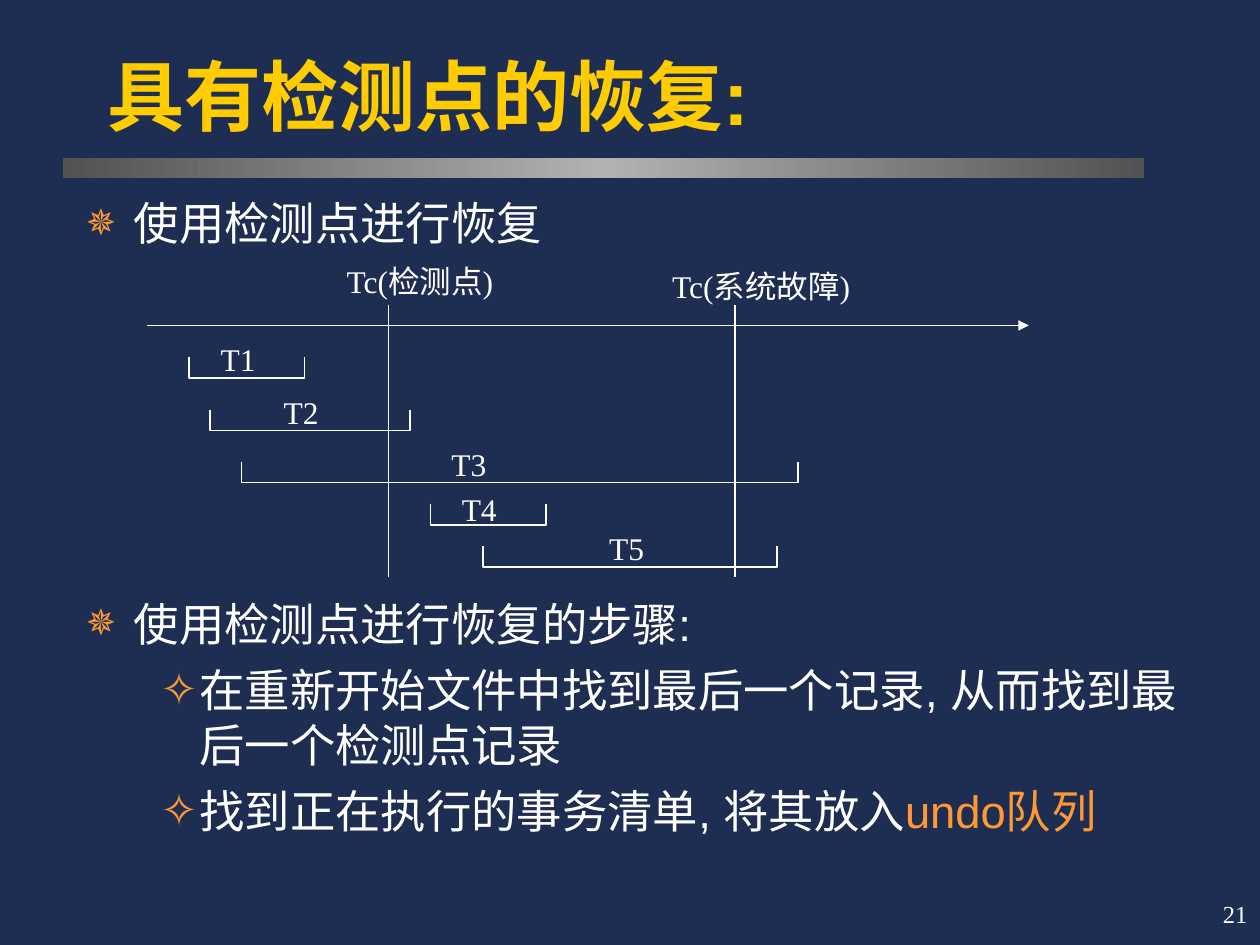
from copy import deepcopy
from dataclasses import dataclass

from pptx import Presentation
from pptx.dml.color import RGBColor
from pptx.enum.shapes import MSO_CONNECTOR, MSO_SHAPE
from pptx.enum.text import MSO_ANCHOR, MSO_AUTO_SIZE, PP_ALIGN
from pptx.oxml.ns import qn
from pptx.util import Cm, Pt

STRAIGHT, RECTANGLE = MSO_CONNECTOR.STRAIGHT, MSO_SHAPE.RECTANGLE
TOP, MIDDLE, BOTTOM = MSO_ANCHOR.TOP, MSO_ANCHOR.MIDDLE, MSO_ANCHOR.BOTTOM
LEFT, RIGHT = PP_ALIGN.LEFT, PP_ALIGN.RIGHT
NO_AUTOFIT = MSO_AUTO_SIZE.NONE


@dataclass(frozen=True)
class Theme:
    background: str = "1E2E53"
    text: str = "FFFFFF"
    title: str = "FFCC00"
    accent: str = "FF9933"
    bar_stops: tuple = ((0, "525252"), (0.5, "B2B2B2"), (1, "525252"))
    heading_font: str = "Arial"
    diagram_font: str = "Times New Roman"
    title_size: float = 44
    body_size: float = 25.9
    label_size: float = 18
    number_size: float = 14
    line_width: float = 1


THEME = Theme()

# Content
TITLE = "具有检测点的恢复:"
PAGE_NUMBER = "21"
# level, space before in points, runs of (text, colour); the wide space holds the diagram
POINTS = [
    (0, None, [("使用检测点进行恢复", THEME.text)]),
    (0, 197.7, [("使用检测点进行恢复的步骤:", THEME.text)]),
    (1, 7, [("在重新开始文件中找到最后一个记录, 从而找到最后一个检测点记录", THEME.text)]),
    (1, 7, [("找到正在执行的事务清单, 将其放入", THEME.text), ("undo队列", THEME.accent)]),
]
# bullet, size in percent, text indent, hanging indent (cm)
BULLETS = [("✵", 80, 0.97, 0.97), ("✧", 100, 2.29, 0.79)]

# Diagram, in cm
AXIS_START, AXIS_END, AXIS_Y = 2.96, 20.74, 6.56
EVENT_TOP, EVENT_BOTTOM = 6.14, 11.64
# label, line x, label left, label top, label width
EVENTS = [
    ("Tc(检测点)", 7.83, 6.99, 5.29, 3.39),
    ("Tc(系统故障)", 14.82, 13.55, 5.38, 4.23),
]
# label, start, end, top, label left, label top
TRANSACTIONS = [
    ("T1", 3.81, 6.14, 7.2, 4.45, 6.86),
    ("T2", 4.23, 8.26, 8.26, 5.72, 7.92),
    ("T3", 4.87, 16.09, 9.31, 9.1, 8.97),
    ("T4", 8.68, 11.01, 10.16, 9.31, 9.88),
    ("T5", 9.74, 15.66, 11.01, 12.28, 10.67),
]
BRACKET_DEPTH, LABEL_HEIGHT, TRANSACTION_LABEL_WIDTH = 0.42, 0.76, 1.06


def color(code):
    return RGBColor.from_string(code)


def add_run(paragraph, text, font, size, code, bold=False):
    run = paragraph.add_run()
    run.text = text
    run.font.name, run.font.size, run.font.bold = font, Pt(size), bold
    run.font.color.rgb = color(code)


def place(shape, left, top, width, height):
    shape.left, shape.top, shape.width, shape.height = map(Cm, (left, top, width, height))


def set_frame(frame, anchor, inset_x=0.25, inset_y=0.13):
    frame.word_wrap, frame.auto_size, frame.vertical_anchor = True, NO_AUTOFIT, anchor
    frame.margin_left = frame.margin_right = Cm(inset_x)
    frame.margin_top = frame.margin_bottom = Cm(inset_y)


def add_bullet(paragraph, char, percent, indent, hanging):
    props = paragraph._p.get_or_add_pPr()
    props.set("marL", str(Cm(indent)))
    props.set("indent", str(-Cm(hanging)))
    bullet_color = props.makeelement(qn("a:buClr"), {})
    bullet_color.append(props.makeelement(qn("a:srgbClr"), {"val": THEME.accent}))
    props.append(bullet_color)
    for tag, attributes in (
        ("a:buSzPct", {"val": str(percent * 1000)}),
        ("a:buFont", {"typeface": THEME.heading_font}),
        ("a:buChar", {"char": char}),
    ):
        props.append(props.makeelement(qn(tag), attributes))


def style_line(line):
    line.color.rgb = color(THEME.text)
    line.width = Pt(THEME.line_width)


def add_line(slide, x1, y1, x2, y2, arrow=False):
    connector = slide.shapes.add_connector(STRAIGHT, Cm(x1), Cm(y1), Cm(x2), Cm(y2))
    style_line(connector.line)
    props = connector._element.spPr
    if arrow:
        outline = props.find(qn("a:ln"))
        outline.append(outline.makeelement(qn("a:tailEnd"), {"type": "triangle"}))
    props.append(props.makeelement(qn("a:effectLst"), {}))


def add_label(slide, text, left, top, width):
    box = slide.shapes.add_textbox(Cm(left), Cm(top), Cm(width), Cm(LABEL_HEIGHT))
    set_frame(box.text_frame, TOP, 0, 0)
    add_run(box.text_frame.paragraphs[0], text, THEME.diagram_font, THEME.label_size, THEME.text)


def add_bracket(slide, start, end, top):
    bottom = top + BRACKET_DEPTH
    builder = slide.shapes.build_freeform(Cm(start), Cm(top))
    corners = [(start, bottom), (end, bottom), (end, top)]
    builder.add_line_segments([(Cm(x), Cm(y)) for x, y in corners], close=False)
    bracket = builder.convert_to_shape()
    bracket.shadow.inherit = False
    bracket.fill.background()
    style_line(bracket.line)


def add_bar(slide):
    bar = slide.shapes.add_shape(RECTANGLE, Cm(1.27), Cm(3.18), Cm(21.8), Cm(0.42))
    bar.shadow.inherit = False
    bar.line.fill.background()
    bar.fill.gradient()
    bar.fill.gradient_angle = 0
    stop_list = next(bar._element.iter(qn("a:gsLst")))
    stop_list.append(deepcopy(stop_list[0]))
    for stop, (position, code) in zip(bar.fill.gradient_stops, THEME.bar_stops):
        stop.position = position
        stop.color.rgb = color(code)


def main():
    deck = Presentation()
    deck.slide_width, deck.slide_height = Cm(25.4), Cm(19.05)
    slide = deck.slides.add_slide(deck.slide_layouts[1])
    slide.background.fill.solid()
    slide.background.fill.fore_color.rgb = color(THEME.background)

    # Title
    title = slide.shapes.title
    place(title, 1.91, 1.07, 21.59, 1.9)
    set_frame(title.text_frame, BOTTOM)
    heading = title.text_frame.paragraphs[0]
    heading.alignment = LEFT
    add_run(heading, TITLE, THEME.heading_font, THEME.title_size, THEME.title, bold=True)

    # Bulleted steps
    body = slide.placeholders[1]
    place(body, 1.48, 3.81, 22.86, 14.18)
    set_frame(body.text_frame, TOP)
    for index, (level, gap, runs) in enumerate(POINTS):
        point = body.text_frame.add_paragraph() if index else body.text_frame.paragraphs[0]
        point.level = level
        add_bullet(point, *BULLETS[level])
        point.space_before = Pt(gap or 0)
        for text, code in runs:
            add_run(point, text, THEME.heading_font, THEME.body_size, code)

    add_bar(slide)

    # Timeline with its events and transactions
    add_line(slide, AXIS_START, AXIS_Y, AXIS_END, AXIS_Y, arrow=True)
    for name, x, left, top, width in EVENTS:
        add_line(slide, x, EVENT_TOP, x, EVENT_BOTTOM)
        add_label(slide, name, left, top, width)
    for name, start, end, top, label_left, label_top in TRANSACTIONS:
        add_bracket(slide, start, end, top)
        add_label(slide, name, label_left, label_top, TRANSACTION_LABEL_WIDTH)

    # Page number
    number = slide.shapes.add_textbox(Cm(20.11), Cm(17.78), Cm(5.29), Cm(1.27))
    set_frame(number.text_frame, MIDDLE)
    number_line = number.text_frame.paragraphs[0]
    number_line.alignment = RIGHT
    add_run(number_line, PAGE_NUMBER, THEME.diagram_font, THEME.number_size, THEME.text)

    deck.save("out.pptx")


if __name__ == "__main__":
    main()
